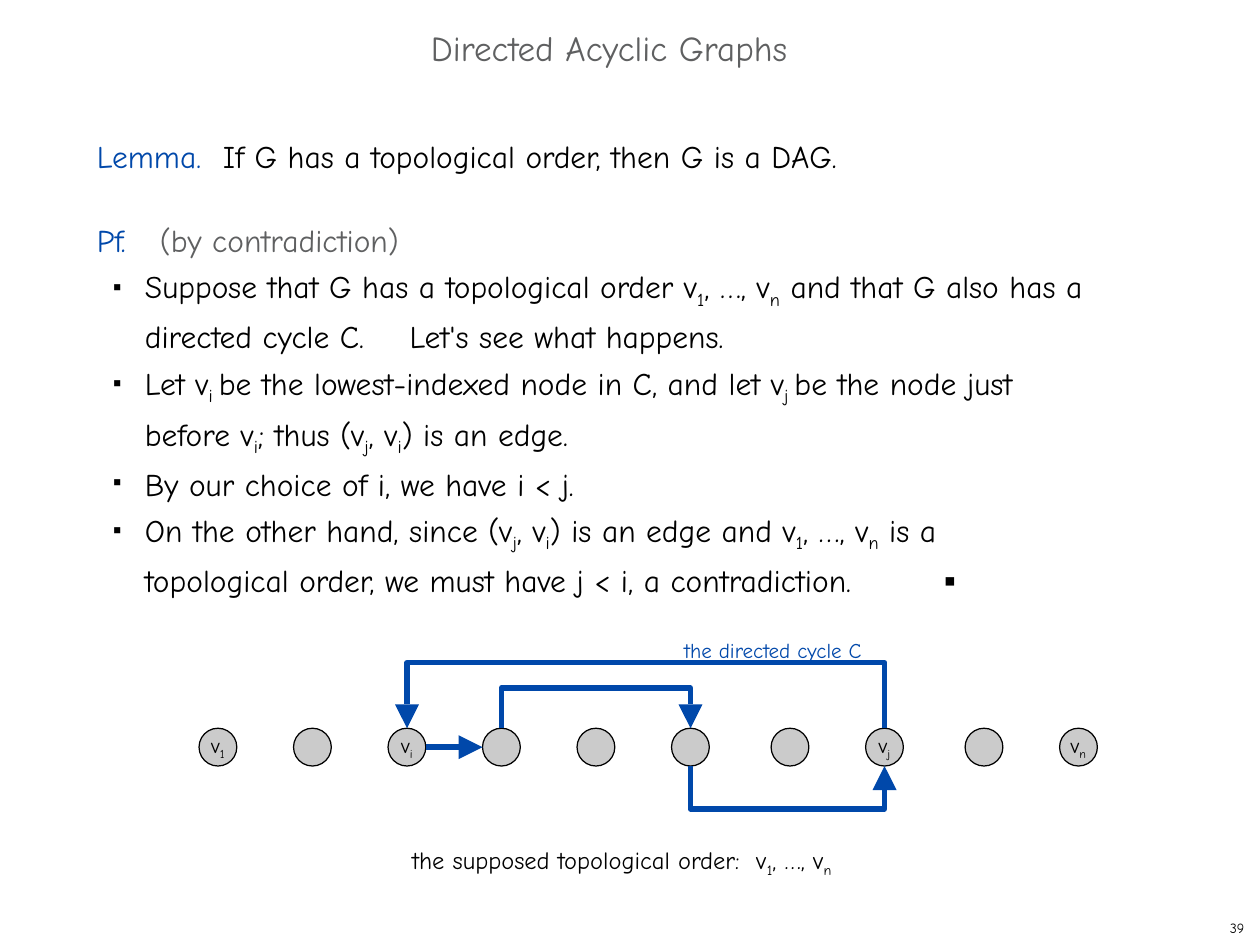
import itertools

import pptx
import pptx.dml.color
import pptx.enum.shapes
import pptx.enum.text
import pptx.util
from lxml import etree
from pptx.oxml.ns import qn
from pptx.util import Inches, Pt

COLORS = {"blue": "0048AA", "gray": "5F6061", "black": "000000", "node": "CBCBCB"}
FONT = "Comic Neue"

# Runs are (text, color); letters between tildes are subscripts.
TITLE = {"runs": [("Directed Acyclic Graphs", "gray")],
         "size": 20, "margin": 0.01, "before": 0.9}
PAGE_NUMBER = {"runs": [("39", "black")], "size": 8, "margin": 0.04, "before": 1.7}
CAPTION = {"runs": [("the supposed topological order:  v~1~, …, v~n~", "black")],
           "size": 14, "margin": 0.04, "before": 0.9}
BULLET = {"margin": 0.44, "indent": -0.25, "bullet": "■"}
PROOF = [
    {"runs": [("Lemma.\t", "blue"),
              ("If G has a topological order, then G is a DAG.", "black")],
     "margin": 0.06, "before": 1, "tabs": [1.12]},
    {"runs": [("Pf.\t", "blue"), ("(by contradiction)", "gray")],
     "margin": 0.06, "before": 26.3, "tabs": [0.54]},
    {"runs": [("Suppose that G has a topological order v~1~, …, v~n~ and that G also has a "
               "directed cycle C.\tLet's see what happens.", "black")],
     **BULLET, "spacing": 1.2, "tabs": [0.44, 2.54]},
    {"runs": [("Let v~i ~be the lowest-indexed node in C, and let v~j ~be the node just "
               "before v~i~; thus (v~j~, v~i~) is an edge.", "black")],
     **BULLET, "spacing": 1.2, "before": 0.2, "right": 0.8},
    {"runs": [("By our choice of i, we have i < j.", "black")], **BULLET, "before": 4.3},
    {"runs": [("On the other hand, since (v~j~, v~i~) is an edge and v~1~, …, v~n~ is a "
               "topological order, we must have j < i, a contradiction.\t", "black"),
              ("▪", "black", "Lato")],
     **BULLET, "spacing": 1.2, "before": 0.2, "right": 1.2, "tabs": [0.44, 6.78]},
    {"runs": [("the directed cycle C", "blue")], "size": 12, "margin": 4.72, "before": 22.1},
]

NODE_LABELS = ["v~1~", "", "v~i~", "", "", "", "", "v~j~", "", "v~n~"]
NODE_GAPS = [0.75] * 5 + [0.79, 0.75, 0.79, 0.75]
NODE_X = list(itertools.accumulate(NODE_GAPS, initial=1.73))
NODE_Y = 5.93
RADIUS = 0.15
HEAD = 0.19
STRAIGHT_EDGE = (2, 3)
# from node, to node, height of the horizontal part
BENT_EDGES = [(7, 2, 5.26), (3, 5, 5.46), (5, 7, 6.42)]


def rgb(name):
    return pptx.dml.color.RGBColor.from_string(COLORS[name])


def add_runs(paragraph, text, color, font=FONT, size=18):
    for index, part in enumerate(text.split("~")):
        if not part:
            continue
        run = paragraph.add_run()
        run.text = part
        run.font.name = font
        run.font.size = Pt(size)
        run.font.color.rgb = rgb(color)
        if index % 2:
            run.font._element.set("baseline", "-23000")


def fill_paragraph(paragraph, content):
    paragraph.space_before = Pt(content.get("before", 0))
    paragraph.line_spacing = content.get("spacing", 1.0)
    properties = paragraph._p.get_or_add_pPr()
    for attribute, key in (("marL", "margin"), ("marR", "right"), ("indent", "indent")):
        properties.set(attribute, str(Inches(content.get(key, 0))))
    if "bullet" in content:
        etree.SubElement(properties, qn("a:buSzPct"), val="33000")
        etree.SubElement(properties, qn("a:buChar"), char=content["bullet"])
    if "tabs" in content:
        tab_list = etree.SubElement(properties, qn("a:tabLst"))
        for position in content["tabs"]:
            etree.SubElement(tab_list, qn("a:tab"), pos=str(Inches(position)), algn="l")
    for run in content["runs"]:
        add_runs(paragraph, *run, size=content.get("size", 18))


def clear_margins(frame):
    frame.margin_left = frame.margin_right = frame.margin_top = frame.margin_bottom = 0


def add_text(slide, box, paragraphs):
    frame = slide.shapes.add_textbox(*map(Inches, box)).text_frame
    clear_margins(frame)
    frame.margin_top = Inches(0.02)
    frame.word_wrap = True
    for index, content in enumerate(paragraphs):
        fill_paragraph(frame.add_paragraph() if index else frame.paragraphs[0], content)


def add_centered_shape(slide, kind, x, y, size, color):
    shape = slide.shapes.add_shape(
        kind, Inches(x - size / 2), Inches(y - size / 2), Inches(size), Inches(size))
    shape.shadow.inherit = False
    shape.fill.solid()
    shape.fill.fore_color.rgb = rgb(color)
    return shape


def add_node(slide, x, label):
    node = add_centered_shape(
        slide, pptx.enum.shapes.MSO_SHAPE.OVAL, x, NODE_Y, 2 * RADIUS, "node")
    node.line.color.rgb = rgb("black")
    node.line.width = Pt(0.72)
    if label:
        frame = node.text_frame
        clear_margins(frame)
        frame.word_wrap = False
        frame.vertical_anchor = pptx.enum.text.MSO_ANCHOR.MIDDLE
        frame.paragraphs[0].alignment = pptx.enum.text.PP_ALIGN.CENTER
        add_runs(frame.paragraphs[0], label, "black", size=12)


def add_head(slide, x, y, rotation):
    head = add_centered_shape(
        slide, pptx.enum.shapes.MSO_SHAPE.ISOSCELES_TRIANGLE, x, y, HEAD, "blue")
    head.line.fill.background()
    head.rotation = rotation


def style_line(shape):
    shape.line.color.rgb = rgb("blue")
    shape.line.width = Pt(3.12)


def add_straight_edge(slide, start, end):
    tip = NODE_X[end] - RADIUS
    edge = slide.shapes.add_connector(
        pptx.enum.shapes.MSO_CONNECTOR.STRAIGHT,
        Inches(NODE_X[start] + RADIUS), Inches(NODE_Y), Inches(tip - HEAD), Inches(NODE_Y))
    style_line(edge)
    etree.SubElement(edge._element.spPr, qn("a:effectLst"))
    add_head(slide, tip - HEAD / 2, NODE_Y, 90)


def add_bent_edge(slide, start, end, bend_y):
    side = 1 if bend_y > NODE_Y else -1
    node_side = NODE_Y + side * RADIUS
    corners = [(NODE_X[start], node_side), (NODE_X[start], bend_y),
               (NODE_X[end], bend_y), (NODE_X[end], node_side + side * HEAD)]
    points = [(Inches(x), Inches(y)) for x, y in corners]
    builder = slide.shapes.build_freeform(*points[0])
    builder.add_line_segments(points[1:], close=False)
    edge = builder.convert_to_shape()
    edge.shadow.inherit = False
    edge.fill.background()
    style_line(edge)
    add_head(slide, NODE_X[end], node_side + side * HEAD / 2, 0 if side > 0 else 180)


def main():
    presentation = pptx.Presentation()
    presentation.slide_width = Inches(10)
    presentation.slide_height = Inches(7.5)
    slide = presentation.slides.add_slide(presentation.slide_layouts[6])

    add_text(slide, (3.41, 0.19, 3.18, 0.36), [TITLE])
    add_text(slide, (0.71, 1.07, 8.45, 4.08), PROOF)
    for x, label in zip(NODE_X, NODE_LABELS):
        add_node(slide, x, label)
    add_straight_edge(slide, *STRAIGHT_EDGE)
    for edge in BENT_EDGES:
        add_bent_edge(slide, *edge)
    add_text(slide, (9.72, 7.28, 0.22, 0.18), [PAGE_NUMBER])
    add_text(slide, (3.23, 6.69, 3.72, 0.26), [CAPTION])

    presentation.save("out.pptx")


if __name__ == "__main__":
    main()
